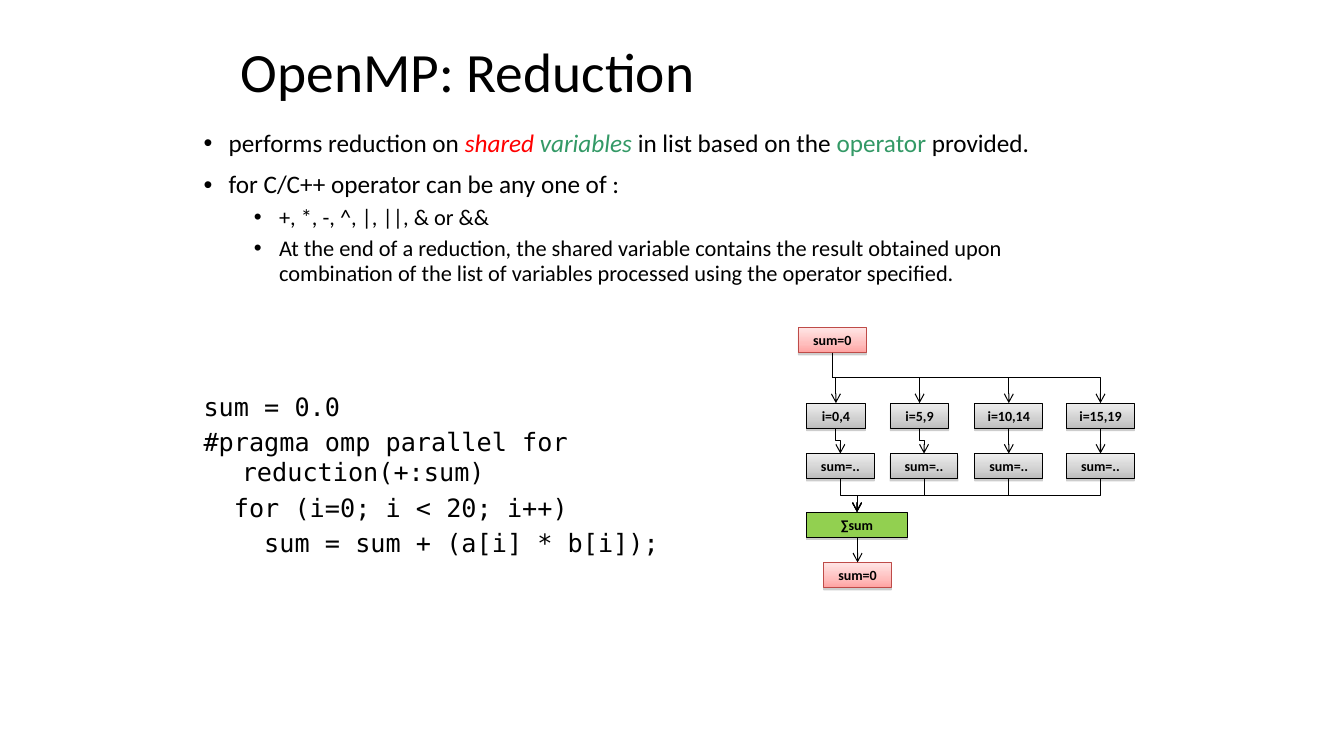
"""Build the OpenMP reduction slide with its code sample and flow diagram."""
import pptx
import pptx.dml.color
import pptx.enum.shapes
import pptx.enum.text
import pptx.oxml
import pptx.oxml.ns
import pptx.util

Inches, Pt = pptx.util.Inches, pptx.util.Pt
qn = pptx.oxml.ns.qn
NS = pptx.oxml.ns.nsdecls("a")
MSO_SHAPE = pptx.enum.shapes.MSO_SHAPE
ELBOW = pptx.enum.shapes.MSO_CONNECTOR.ELBOW
ALIGN = pptx.enum.text.PP_ALIGN
MIDDLE = pptx.enum.text.MSO_ANCHOR.MIDDLE
NO_FIT = pptx.enum.text.MSO_AUTO_SIZE.NONE

SANS, MONO = "Calibri", "DejaVu Sans Mono"
BLACK, RED, GREEN = "000000", "FF0000", "339966"

TITLE = "OpenMP: Reduction"
BULLETS = [
    (0, [("performs reduction on ", BLACK, False), ("shared ", RED, True),
         ("variables ", GREEN, True), ("in list based on the ", BLACK, False),
         ("operator", GREEN, False), (" provided.", BLACK, False)]),
    (0, [("for C/C++ operator can be any one of :", BLACK, False)]),
    (1, [("+, *, -, ^, |, ||, & or &&", BLACK, False)]),
    (1, [("At the end of a reduction, the shared variable contains the result "
          "obtained upon combination of the list of variables processed using "
          "the operator specified.", BLACK, False)]),
]
LEVELS = {0: (0.25, 18, 10), 1: (0.75, 16, 5)}
CODE = [
    "sum = 0.0",
    "#pragma omp parallel for reduction(+:sum)",
    "  for (i=0; i < 20; i++)",
    "    sum = sum + (a[i] * b[i]);",
]
PINK = ([(0, "FFE5E5"), (65, "FFBEBD"), (100, "FFA2A1")], "BE4B48")
GRAY = ([(0, "EDEDED"), (65, "D0D0D0"), (100, "BCBCBC")], BLACK)
LIME = ("92D050", BLACK)
THREADS = [("i=0,4", 8, 0.58), ("i=5,9", 8.83, 0.58),
           ("i=10,14", 9.67, 0.67), ("i=15,19", 10.58, 0.67)]
BOX_W, BOX_H = 0.67, 0.25


def rgb(hex_color):
    """Turn a hex string into a colour."""
    return pptx.dml.color.RGBColor.from_string(hex_color)


def style(r, font, size, color=BLACK, bold=False, italic=False):
    """Format one run."""
    r.font.name, r.font.size = font, Pt(size)
    r.font.bold, r.font.italic = bold, italic
    r.font.color.rgb = rgb(color)


def indent(p, margin, hanging, bullet=None):
    """Give a paragraph a hanging indent and an optional bullet."""
    pPr = p._p.get_or_add_pPr()
    pPr.set("marL", str(Inches(margin)))
    pPr.set("indent", str(-Inches(hanging)))
    if bullet:
        pPr.append(pptx.oxml.parse_xml(f'<a:buFont {NS} typeface="Arial"/>'))
        pPr.append(pptx.oxml.parse_xml(f'<a:buChar {NS} char="{bullet}"/>'))


def add_text_box(s, left, top, width, height):
    """Add a wrapping text box and return its frame."""
    tf = s.shapes.add_textbox(*map(Inches, (left, top, width, height))).text_frame
    tf.word_wrap = True
    return tf


def add_paragraph(tf, index):
    """Return the first paragraph, or a new one after it."""
    return tf.add_paragraph() if index else tf.paragraphs[0]


def add_title(s):
    """Place and format the title."""
    title = s.shapes.title
    title.left, title.top, title.width, title.height = map(Inches, (2.29, 0.43, 9, 0.61))
    tf = title.text_frame
    tf.text = TITLE
    tf.auto_size, tf.vertical_anchor = NO_FIT, MIDDLE
    p = tf.paragraphs[0]
    p.alignment, p.line_spacing = ALIGN.LEFT, 0.9
    style(p.runs[0], SANS, 39.6)


def add_bullets(s):
    """Add the two-level bullet list."""
    tf = add_text_box(s, 1.92, 1.25, 9.25, 2.08)
    for i, (level, parts) in enumerate(BULLETS):
        margin, size, before = LEVELS[level]
        p = add_paragraph(tf, i)
        p.level, p.line_spacing, p.space_before = level, 0.9, Pt(before)
        indent(p, margin, 0.25, "•")
        for text, color, italic in parts:
            r = p.add_run()
            r.text = text
            style(r, SANS, size, color, italic=italic)


def add_code(s):
    """Add the code sample."""
    tf = add_text_box(s, 1.92, 3.83, 5.92, 1.75)
    for i, line in enumerate(CODE):
        p = add_paragraph(tf, i)
        p.text = line
        p.space_before = Pt(3.6)
        indent(p, 0.38, 0.38)
        style(p.runs[0], MONO, 18)


def add_box(s, text, left, top, width, look):
    """Add one diagram box with its fill, line and shadow."""
    fill, line = look
    sp = s.shapes.add_shape(MSO_SHAPE.RECTANGLE, *map(Inches, (left, top, width, BOX_H)))
    if isinstance(fill, str):
        sp.fill.solid()
        sp.fill.fore_color.rgb = rgb(fill)
    else:
        sp.fill.gradient()
        sp.fill.gradient_angle = 270
        stops = sp._element.spPr.find(qn("a:gradFill")).find(qn("a:gsLst"))
        for stop in list(stops):
            stops.remove(stop)
        for position, color in fill:
            stops.append(pptx.oxml.parse_xml(
                f'<a:gs {NS} pos="{position * 1000}"><a:srgbClr val="{color}"/></a:gs>'))
    sp.line.color.rgb, sp.line.width = rgb(line), Pt(0.75)
    sp.shadow.inherit = False
    sp._element.spPr.find(qn("a:effectLst")).append(pptx.oxml.parse_xml(
        f'<a:outerShdw {NS} blurRad="0" dist="{Pt(1.6)}" dir="5400000" rotWithShape="0">'
        '<a:srgbClr val="808080"><a:alpha val="38000"/></a:srgbClr></a:outerShdw>'))
    tf = sp.text_frame
    tf.text = text
    tf.word_wrap, tf.vertical_anchor = False, MIDDLE
    p = tf.paragraphs[0]
    p.alignment = ALIGN.CENTER
    style(p.runs[0], SANS, 10, bold=True)
    return sp


def add_arrow(s, upper, lower):
    """Join two boxes with an elbow arrow that leaves and arrives vertically."""
    x1, y1 = upper.left + upper.width // 2, upper.top + upper.height
    x2, y2 = lower.left + lower.width // 2, lower.top
    c = s.shapes.add_connector(ELBOW, x1, y1, x2, y2)
    c.begin_connect(upper, 2)
    c.end_connect(lower, 0)
    c.width, c.height = y2 - y1, abs(x2 - x1)
    c.left, c.top = (x1 + x2 - c.width) // 2, (y1 + y2 - c.height) // 2
    rightward = x2 > x1
    xfrm = c._element.spPr.find(qn("a:xfrm"))
    xfrm.set("rot", "16200000" if rightward else "5400000")
    xfrm.set("flipH", "1" if rightward else "0")
    xfrm.set("flipV", "0")
    c.line.color.rgb, c.line.width = rgb(BLACK), Pt(0.75)
    c.line._get_or_add_ln().append(pptx.oxml.parse_xml(f'<a:tailEnd {NS} type="arrow"/>'))
    c._element.spPr.append(pptx.oxml.parse_xml(f"<a:effectLst {NS}/>"))


def add_diagram(s):
    """Add the fork, the four threads and the final sum."""
    start = add_box(s, "sum=0", 7.92, 3.25, BOX_W, PINK)
    ranges = [add_box(s, text, x, 4, w, GRAY) for text, x, w in THREADS]
    partials = [add_box(s, "sum=..", x, 4.5, BOX_W, GRAY) for _, x, _ in THREADS]
    total = add_box(s, "∑sum", 8, 5.08, 1, LIME)
    end = add_box(s, "sum=0", 8.17, 5.58, BOX_W, PINK)
    for span, partial in zip(ranges, partials):
        add_arrow(s, start, span)
        add_arrow(s, span, partial)
        add_arrow(s, partial, total)
    add_arrow(s, total, end)


def main():
    """Build and save the slide."""
    prs = pptx.Presentation()
    prs.slide_width, prs.slide_height = Inches(13.33), Inches(7.5)
    s = prs.slides.add_slide(prs.slide_layouts[5])
    add_title(s)
    add_bullets(s)
    add_code(s)
    add_diagram(s)
    prs.save("out.pptx")


if __name__ == "__main__":
    main()
